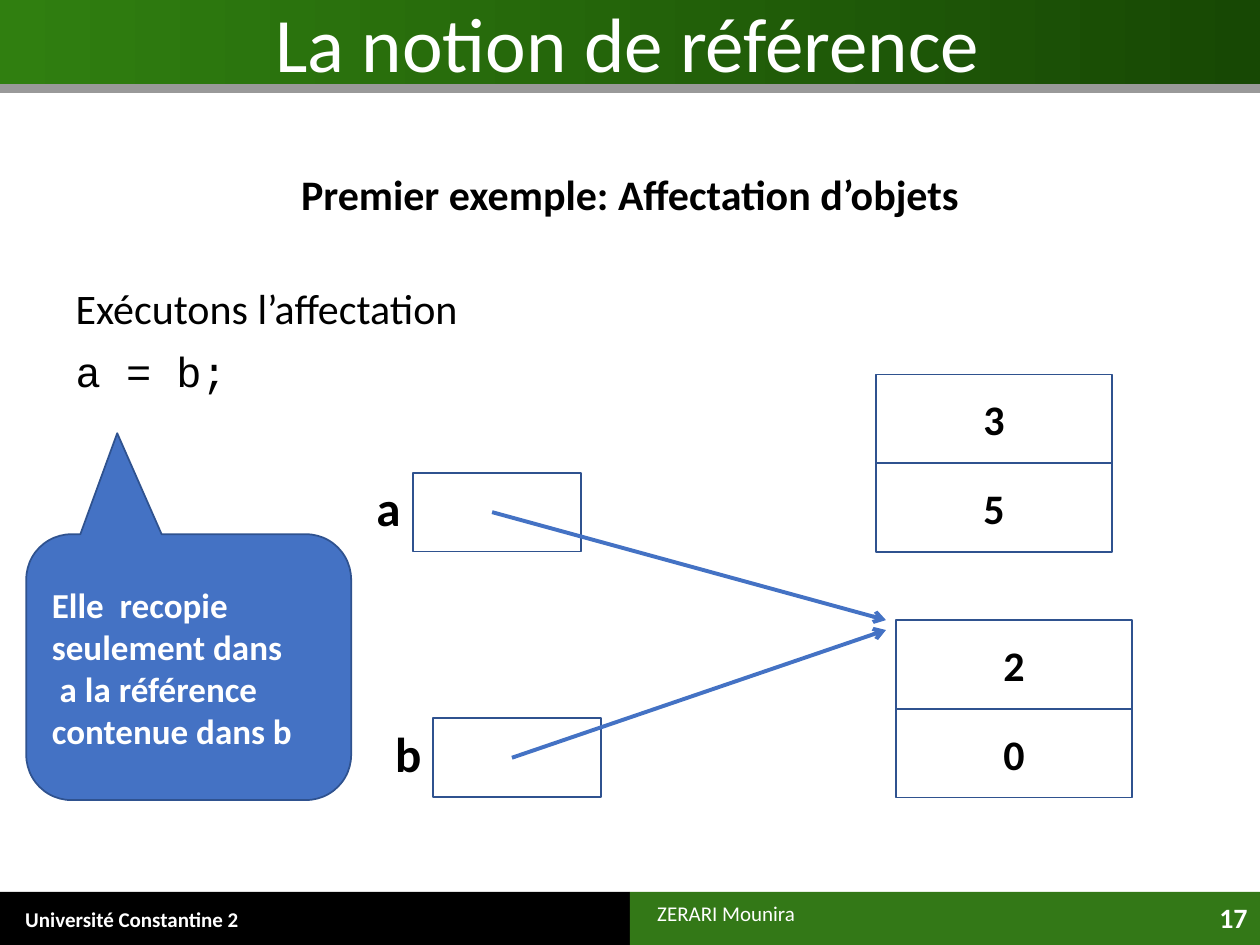
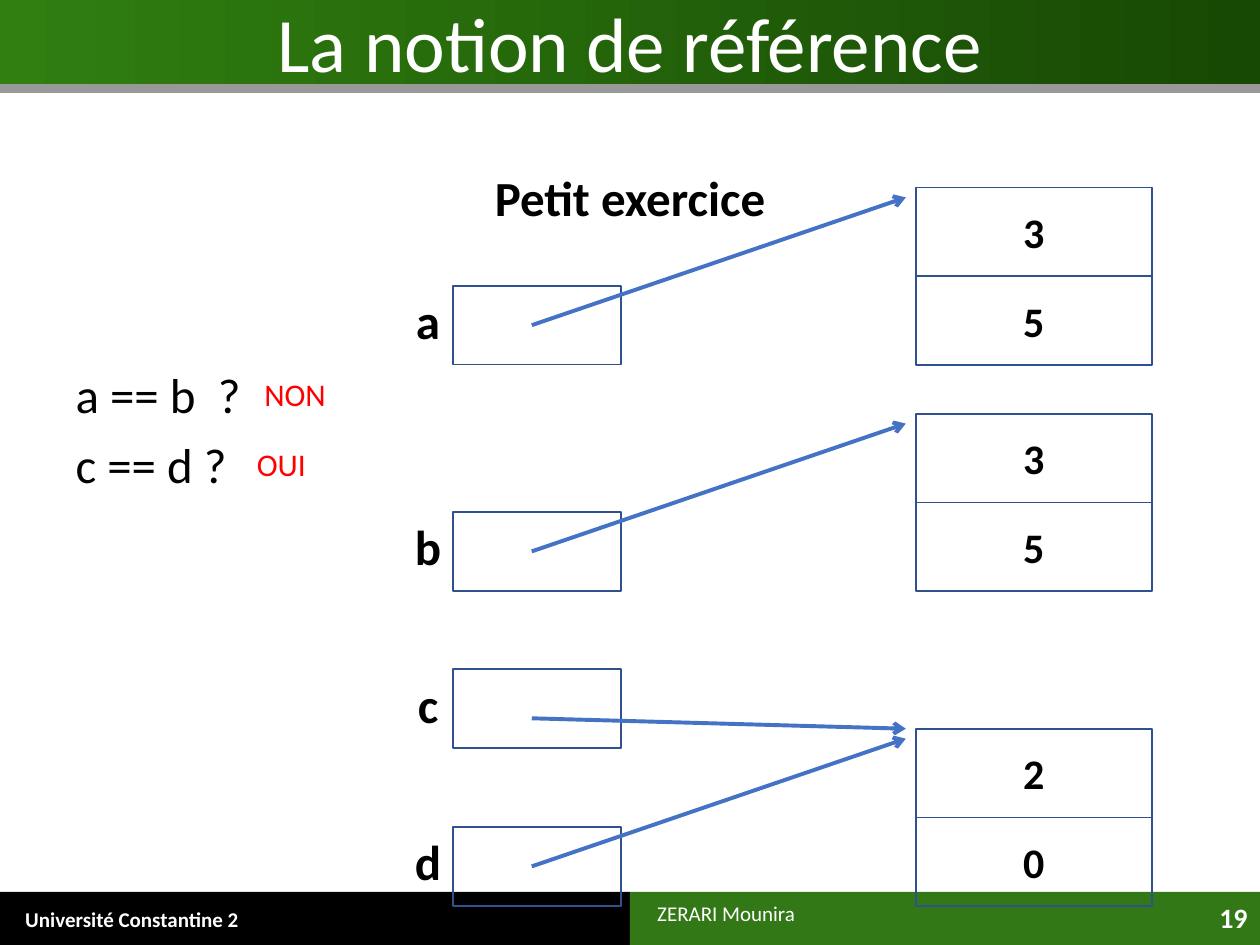
from dataclasses import dataclass
from typing import Any

from lxml.etree import SubElement
from pptx import Presentation
from pptx.dml.color import RGBColor
from pptx.enum.shapes import MSO_CONNECTOR, MSO_SHAPE
from pptx.enum.text import MSO_ANCHOR, MSO_AUTO_SIZE, PP_ALIGN
from pptx.oxml.ns import qn
from pptx.util import Cm, Pt

BLACK, WHITE, RED = "000000", "FFFFFF", "FF0000"
GREEN, DARK_GREEN, LIGHT_GREEN = "337817", "174804", "307F10"
BLUE, OUTLINE = "4472C4", "2F528F"
SANS, MONO = "Calibri", "Courier New"

PAGE_WIDTH, PAGE_HEIGHT = 25.4, 19.05
FOOTER_TOP, FOOTER_HEIGHT = 17.98, 1.07
VARIABLE_WIDTH, VARIABLE_HEIGHT = 3.39, 1.59
CELL_WIDTH, CELL_HEIGHT = 4.76, 1.79
ARROW_GAP = 0.2


@dataclass(frozen=True)
class Area:
    left: float
    top: float
    width: float
    height: float

    def lengths(self) -> tuple:
        return Cm(self.left), Cm(self.top), Cm(self.width), Cm(self.height)


@dataclass(frozen=True)
class Style:
    size: float
    colour: str = BLACK
    bold: bool = False
    font: str = SANS
    align: PP_ALIGN = PP_ALIGN.LEFT


@dataclass(frozen=True)
class Line:
    """One paragraph of the body, with its space before in points."""
    text: str
    style: Style
    before: float = 0


@dataclass(frozen=True)
class Instance:
    """An object in memory: its fields are stacked cells."""
    left: float
    top: float
    fields: tuple[str, ...]


@dataclass(frozen=True)
class Variable:
    """A named box with an arrow to the object it refers to."""
    name: str
    left: float
    top: float
    target: Instance
    start_drop: float = VARIABLE_HEIGHT / 2
    end_drop: float = ARROW_GAP


@dataclass(frozen=True)
class Note:
    text: str
    area: Area


@dataclass(frozen=True)
class Lesson:
    number: str
    title_left: float
    body: tuple[Line, ...]
    instances: tuple[Instance, ...]
    variables: tuple[Variable, ...]
    answers: tuple[Note, ...] = ()
    callout: tuple[str, ...] = ()


TITLE = Style(44, WHITE, align=PP_ALIGN.CENTER)
NAME = Style(28, bold=True, align=PP_ALIGN.CENTER)
FIELD = Style(24, bold=True, align=PP_ALIGN.CENTER)
SCHOOL = Style(12, WHITE, bold=True)
AUTHOR = Style(12, WHITE)
NUMBER = Style(16, WHITE, bold=True, align=PP_ALIGN.RIGHT)
ANSWER = Style(18, RED)
CALLOUT = Style(20, WHITE, bold=True)


def colour(code: str) -> RGBColor:
    return RGBColor.from_string(code)


def apply(target: Any, values: dict[str, Any]) -> None:
    for name, value in values.items():
        setattr(target, name, value)


def write(para: Any, text: str, style: Style) -> None:
    para.alignment = style.align
    span = para.add_run()
    span.text = text
    apply(span.font, {"name": style.font, "size": Pt(style.size), "bold": style.bold})
    span.font.color.rgb = colour(style.colour)


def fill_frame(box: Any, lines: tuple[str, ...], style: Style, anchor: MSO_ANCHOR) -> None:
    frame = box.text_frame
    apply(frame, {"word_wrap": True, "vertical_anchor": anchor})
    for index, text in enumerate(lines):
        write(frame.add_paragraph() if index else frame.paragraphs[0], text, style)


def add_text(page: Any, area: Area, text: str, style: Style,
             anchor: MSO_ANCHOR = MSO_ANCHOR.TOP) -> Any:
    box = page.shapes.add_textbox(*area.lengths())
    fill_frame(box, (text,), style, anchor)
    return box


def add_box(page: Any, area: Area, fill: str = "", outline: str = "",
            kind: MSO_SHAPE = MSO_SHAPE.RECTANGLE) -> Any:
    box = page.shapes.add_shape(kind, *area.lengths())
    box.shadow.inherit = False
    if fill:
        box.fill.solid()
        box.fill.fore_color.rgb = colour(fill)
    else:
        box.fill.background()
    if outline:
        box.line.color.rgb = colour(outline)
        box.line.width = Pt(1)
    else:
        box.line.fill.background()
    return box


def add_arrow(page: Any, start: tuple[float, float], end: tuple[float, float]) -> None:
    arrow = page.shapes.add_connector(
        MSO_CONNECTOR.STRAIGHT, *(Cm(value) for value in start + end))
    arrow.line.color.rgb = colour(BLUE)
    arrow.line.width = Pt(2.25)
    SubElement(arrow.line._get_or_add_ln(), qn("a:tailEnd"), type="arrow")
    SubElement(arrow._element.spPr, qn("a:effectLst"))


def add_header_band(page: Any) -> Any:
    band = add_box(page, Area(0, 0, PAGE_WIDTH, 1.7))
    band.fill.gradient()
    band.fill.gradient_angle = 180
    for stop, code, position in zip(band.fill.gradient_stops,
                                    (DARK_GREEN, LIGHT_GREEN), (0, 1)):
        stop.color.rgb = colour(code)
        stop.position = position
    effects = band._element.spPr.find(qn("a:effectLst"))
    shadow = SubElement(effects, qn("a:outerShdw"), blurRad="0", dist=str(Pt(5)),
                        dir="5400000", algn="t", rotWithShape="0")
    tint = SubElement(shadow, qn("a:srgbClr"), val=BLACK)
    SubElement(tint, qn("a:alpha"), val="40000")
    return band


def furnish_layout(layout: Any, page: Any) -> None:
    """Draw the shared bands on a page, then move them to its layout."""
    half = PAGE_WIDTH / 2
    bands = [add_box(page, Area(left, FOOTER_TOP, half, FOOTER_HEIGHT), fill)
             for left, fill in ((0, BLACK), (half, GREEN))]
    school = add_text(page, Area(0, 18.01, 8.1, 1.04), "Université Constantine 2",
                      SCHOOL, MSO_ANCHOR.MIDDLE)
    school.text_frame.margin_left = Cm(0.51)
    for number, shape in enumerate((*bands, add_header_band(page), school), start=101):
        shape._element.nvSpPr.cNvPr.set("id", str(number))
        layout.shapes._spTree.append(shape._element)


def place(holder: Any, area: Area) -> None:
    apply(holder, dict(zip(("left", "top", "width", "height"), area.lengths())))
    apply(holder.text_frame, {"auto_size": MSO_AUTO_SIZE.NONE, "word_wrap": True,
                              "vertical_anchor": MSO_ANCHOR.TOP})


def fill_title(page: Any, left: float) -> None:
    title = page.shapes.title
    place(title, Area(left, 0, 22.86, 3.18))
    para = title.text_frame.paragraphs[0]
    para.line_spacing = 0.9
    write(para, "La notion de référence", TITLE)


def fill_body(page: Any, lines: tuple[Line, ...]) -> None:
    body = page.placeholders[1]
    place(body, Area(1.27, 3.39, 22.86, 14.2))
    frame = body.text_frame
    for index, line in enumerate(lines):
        para = frame.add_paragraph() if index else frame.paragraphs[0]
        properties = para._p.get_or_add_pPr()
        apply_indent = {"marL": "0", "indent": "0"}
        for name, value in apply_indent.items():
            properties.set(name, value)
        SubElement(properties, qn("a:buNone"))
        apply(para, {"line_spacing": 0.9, "space_before": Pt(line.before)})
        write(para, line.text, line.style)


def draw_instance(page: Any, instance: Instance) -> None:
    for row, value in enumerate(instance.fields):
        top = instance.top + row * CELL_HEIGHT
        cell = add_box(page, Area(instance.left, top, CELL_WIDTH, CELL_HEIGHT), outline=OUTLINE)
        fill_frame(cell, (value,), FIELD, MSO_ANCHOR.MIDDLE)


def draw_variable(page: Any, variable: Variable) -> None:
    left, top, target = variable.left, variable.top, variable.target
    add_box(page, Area(left, top, VARIABLE_WIDTH, VARIABLE_HEIGHT), outline=OUTLINE)
    add_text(page, Area(left - 1.59, top + 0.2, 2.18, 0.99), variable.name,
             NAME, MSO_ANCHOR.MIDDLE)
    add_arrow(page, (left + 1.59, top + variable.start_drop),
              (target.left - ARROW_GAP, target.top + variable.end_drop))


def draw_callout(page: Any, lines: tuple[str, ...]) -> None:
    callout = add_box(page, Area(0.53, 10.77, 6.55, 5.36), BLUE, OUTLINE,
                      MSO_SHAPE.ROUNDED_RECTANGULAR_CALLOUT)
    for index, value in enumerate((-0.22, -0.88, 0.17)):
        callout.adjustments[index] = value
    fill_frame(callout, lines, CALLOUT, MSO_ANCHOR.MIDDLE)


def draw_lesson(page: Any, lesson: Lesson) -> None:
    fill_title(page, lesson.title_left)
    fill_body(page, lesson.body)
    add_text(page, Area(22.43, 18.03, 2.97, 1.02), lesson.number, NUMBER)
    for instance in lesson.instances:
        draw_instance(page, instance)
    for variable in lesson.variables:
        draw_variable(page, variable)
    for answer in lesson.answers:
        add_text(page, answer.area, answer.text, ANSWER)
    if lesson.callout:
        draw_callout(page, lesson.callout)
    add_text(page, Area(13, 18.03, 4, 0.77), "ZERARI Mounira", AUTHOR)


def assignment_lesson() -> Lesson:
    old = Instance(17.66, 7.55, ("3", "5"))
    shared = Instance(18.06, 12.5, ("2", "0"))
    return Lesson(
        "17", 1.22,
        (Line("Premier exemple: Affectation d’objets", FIELD),
         Line("Exécutons l’affectation", Style(24), 39),
         Line("a = b;", Style(24, font=MONO), 10)),
        (old, shared),
        (Variable("a", 8.33, 9.53, shared, end_drop=0), Variable("b", 8.73, 14.48, shared)),
        callout=("Elle  recopie", "seulement dans", " a la référence", "contenue dans b"))


def exercise_lesson() -> Lesson:
    left = 9.13
    first, second, shared = (
        Instance(18.46, top, fields) for top, fields in
        ((3.78, ("3", "5")), (8.34, ("3", "5")), (14.69, ("2", "0"))))
    return Lesson(
        "19", 1.27,
        (Line("Petit exercice", NAME),
         Line("a == b  ?", Style(28), 82),
         Line("c == d ?", Style(28), 10)),
        (first, second, shared),
        (Variable("a", left, 5.76, first), Variable("b", left, 10.32, second),
         Variable("c", left, 13.49, shared, start_drop=0.99, end_drop=0),
         Variable("d", left, 16.67, shared)),
        answers=(Note("NON", Area(5.08, 7.44, 2, 1.02)),
                 Note("OUI", Area(4.93, 8.84, 2, 1.02))))


def main() -> None:
    deck = Presentation()
    apply(deck, {"slide_width": Cm(PAGE_WIDTH), "slide_height": Cm(PAGE_HEIGHT)})
    layout = deck.slide_layouts[1]
    lessons = (assignment_lesson(), exercise_lesson())
    pages = [deck.slides.add_slide(layout) for _ in lessons]
    furnish_layout(layout, pages[0])
    for page, lesson in zip(pages, lessons):
        draw_lesson(page, lesson)
    deck.save("out.pptx")


if __name__ == "__main__":
    main()
